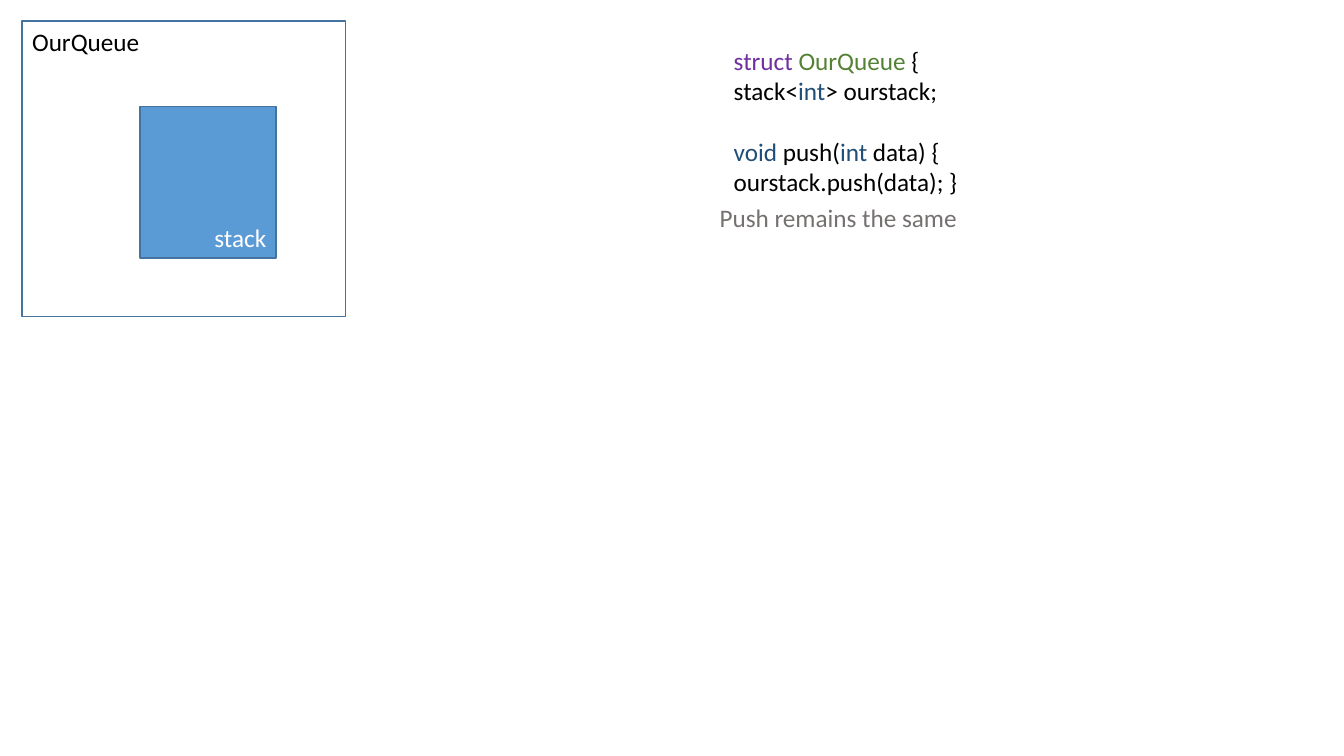
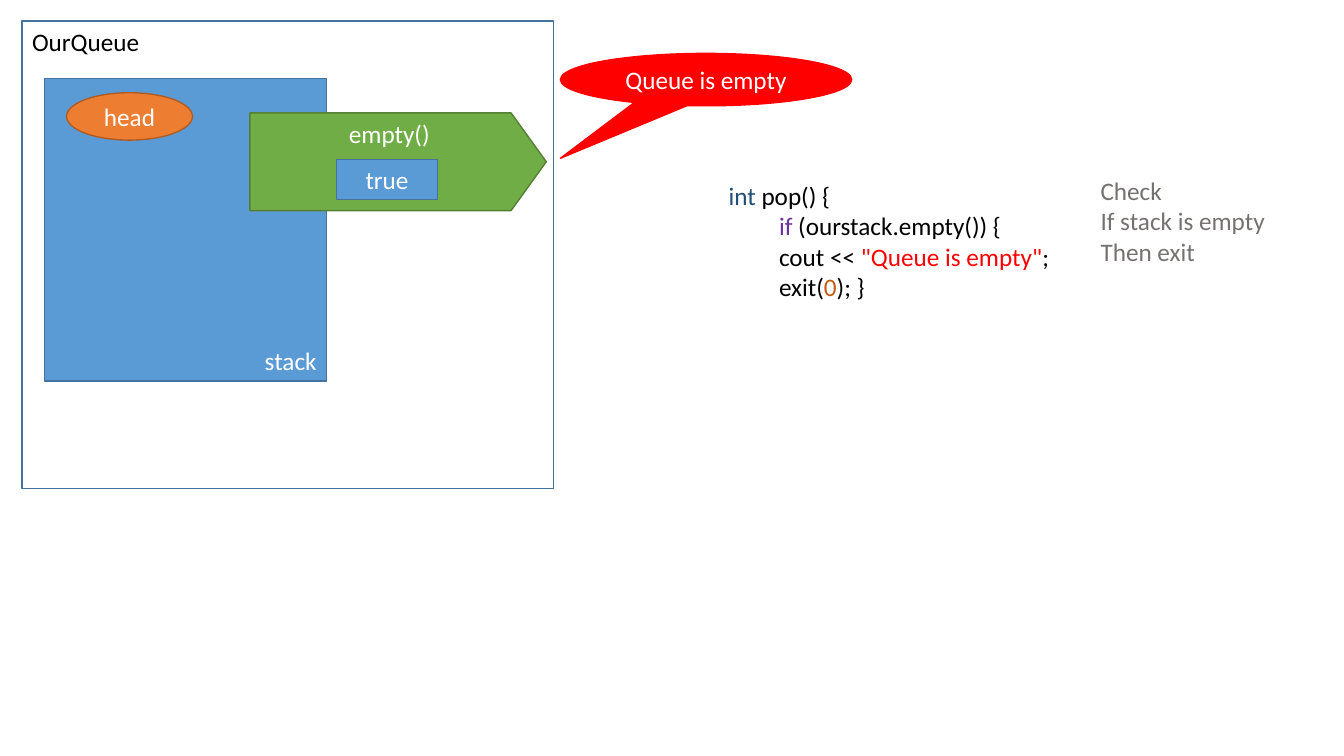
from dataclasses import dataclass
from typing import Optional

from pptx import Presentation
from pptx.dml.color import RGBColor
from pptx.enum.shapes import MSO_SHAPE
from pptx.enum.text import MSO_ANCHOR, PP_ALIGN
from pptx.util import Pt

RECT = MSO_SHAPE.RECTANGLE
OVAL = MSO_SHAPE.OVAL
PENTAGON = MSO_SHAPE.PENTAGON
CALLOUT = MSO_SHAPE.OVAL_CALLOUT
TOP, MIDDLE, BOTTOM = MSO_ANCHOR.TOP, MSO_ANCHOR.MIDDLE, MSO_ANCHOR.BOTTOM
LEFT, CENTER, RIGHT = PP_ALIGN.LEFT, PP_ALIGN.CENTER, PP_ALIGN.RIGHT

BLACK = RGBColor(0x00, 0x00, 0x00)
WHITE = RGBColor(0xFF, 0xFF, 0xFF)
GRAY = RGBColor(0x76, 0x71, 0x71)
BLUE = RGBColor(0x5B, 0x9B, 0xD5)
BLUE_EDGE = RGBColor(0x43, 0x73, 0x9E)
ORANGE = RGBColor(0xED, 0x7D, 0x31)
ORANGE_EDGE = RGBColor(0xAF, 0x5C, 0x24)
GREEN = RGBColor(0x70, 0xAD, 0x47)
GREEN_EDGE = RGBColor(0x53, 0x80, 0x35)
RED = RGBColor(0xFF, 0x00, 0x00)
KEYWORD = RGBColor(0x70, 0x30, 0xA0)
STRUCT_NAME = RGBColor(0x54, 0x82, 0x35)
DATA_TYPE = RGBColor(0x1F, 0x4E, 0x79)
NUMBER = RGBColor(0xC5, 0x5A, 0x11)

FONT = "Calibri"
TEXT_SIZE = 18
LINE_HEIGHT = 22
CODE_INDENT = 36


@dataclass(frozen=True)
class Box:
    left: float
    top: float
    width: float
    height: float

    def lengths(self) -> tuple[Pt, Pt, Pt, Pt]:
        return Pt(self.left), Pt(self.top), Pt(self.width), Pt(self.height)


@dataclass(frozen=True)
class Line:
    pieces: tuple[tuple[str, RGBColor], ...]
    indent: float = 0
    space_before: float = 0


@dataclass(frozen=True)
class Block:
    box: Box
    label: str
    fill: Optional[RGBColor] = BLUE
    edge: RGBColor = BLUE_EDGE
    kind: MSO_SHAPE = RECT
    color: RGBColor = WHITE
    align: PP_ALIGN = CENTER
    anchor: MSO_ANCHOR = MIDDLE
    adjustments: tuple[float, ...] = ()


def write(frame, lines: list[Line], align: PP_ALIGN = LEFT, anchor: MSO_ANCHOR = TOP) -> None:
    frame.word_wrap = True
    frame.vertical_anchor = anchor
    for index, line in enumerate(lines):
        paragraph = frame.add_paragraph() if index else frame.paragraphs[0]
        paragraph.alignment = align
        paragraph.space_before = Pt(line.space_before)
        if line.indent:
            paragraph._p.get_or_add_pPr().set("marL", str(Pt(line.indent)))
        for text, color in line.pieces:
            run = paragraph.add_run()
            run.text = text
            run.font.name = FONT
            run.font.size = Pt(TEXT_SIZE)
            run.font.color.rgb = color


def draw_text(slide, box: Box, lines: list[Line]) -> None:
    write(slide.shapes.add_textbox(*box.lengths()).text_frame, lines)


def draw_note(slide, box: Box, *texts: str) -> None:
    draw_text(slide, box, [Line(((text, GRAY),)) for text in texts])


def draw_block(slide, block: Block) -> None:
    shape = slide.shapes.add_shape(block.kind, *block.box.lengths())
    shape.shadow.inherit = False
    for index, value in enumerate(block.adjustments):
        shape.adjustments[index] = value
    if block.fill is None:
        shape.fill.background()
    else:
        shape.fill.solid()
        shape.fill.fore_color.rgb = block.fill
    shape.line.color.rgb = block.edge
    shape.line.width = Pt(1)
    write(shape.text_frame, [Line(((block.label, block.color),))], block.align, block.anchor)


def draw_queue(slide, width: float, height: float, stack: Box) -> None:
    draw_block(slide, Block(Box(15.84, 15.12, width, height), "OurQueue", fill=None,
                            color=BLACK, align=LEFT, anchor=TOP))
    draw_block(slide, Block(stack, "stack", align=RIGHT, anchor=BOTTOM))


def build_push(slide) -> None:
    draw_text(slide, Box(517, 28.8, 180, 138.24), [
        Line((("struct ", KEYWORD), ("OurQueue", STRUCT_NAME), (" {", BLACK))),
        Line((("stack<", BLACK), ("int", DATA_TYPE), ("> ourstack;", BLACK))),
        Line((("void", DATA_TYPE), (" push(", BLACK), ("int", DATA_TYPE), (" data) {", BLACK)),
             space_before=LINE_HEIGHT),
        Line((("ourstack.push(data); }", BLACK),)),
    ])
    draw_queue(slide, 231.12, 210.96, Box(100.08, 76.32, 97.2, 108))
    draw_note(slide, Box(506.88, 141.12, 185.76, 28.8), "Push remains the same")


def build_pop(slide) -> None:
    draw_text(slide, Box(513.36, 125.28, 250.56, 138.24), [
        Line((("int", DATA_TYPE), (" pop() {", BLACK))),
        Line((("if ", KEYWORD), ("(ourstack.empty()) {", BLACK)), indent=CODE_INDENT),
        Line((("cout << ", BLACK), ('"Queue is empty"', RED), (";", BLACK)), indent=CODE_INDENT),
        Line((("exit(", BLACK), ("0", NUMBER), ("); }", BLACK)), indent=CODE_INDENT),
    ])
    draw_queue(slide, 379.44, 334.08, Box(31.68, 56.16, 201.6, 216))
    draw_note(slide, Box(779.04, 121.68, 132.48, 72.72),
              "Check", "If stack is empty", "Then exit")
    for block in (
        Block(Box(400.32, 38.16, 208.08, 37.44), "Queue is empty", RED, RED, CALLOUT,
              adjustments=(-0.5, 1.5)),
        Block(Box(47.52, 66.24, 90, 33.84), "head", ORANGE, ORANGE_EDGE, OVAL),
        Block(Box(178.56, 80.64, 211.68, 69.84), "empty()", GREEN, GREEN_EDGE, PENTAGON,
              anchor=TOP, adjustments=(0.36,)),
        Block(Box(240.48, 113.76, 72, 28.8), "true"),
    ):
        draw_block(slide, block)


def main() -> None:
    deck = Presentation()
    deck.slide_width, deck.slide_height = Pt(960), Pt(540)
    blank = deck.slide_layouts[6]
    for build in (build_push, build_pop):
        build(deck.slides.add_slide(blank))
    deck.save("out.pptx")


main()
